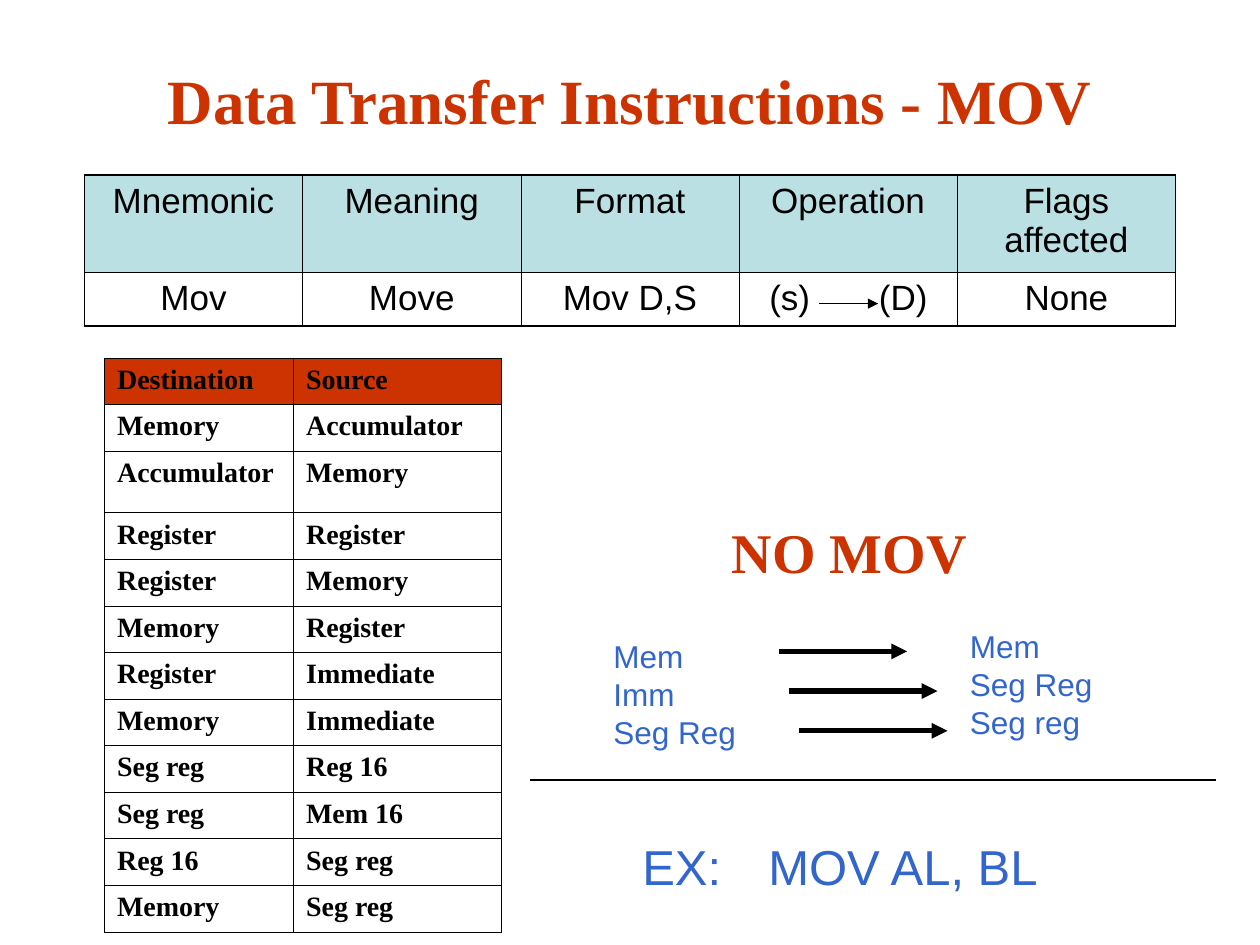
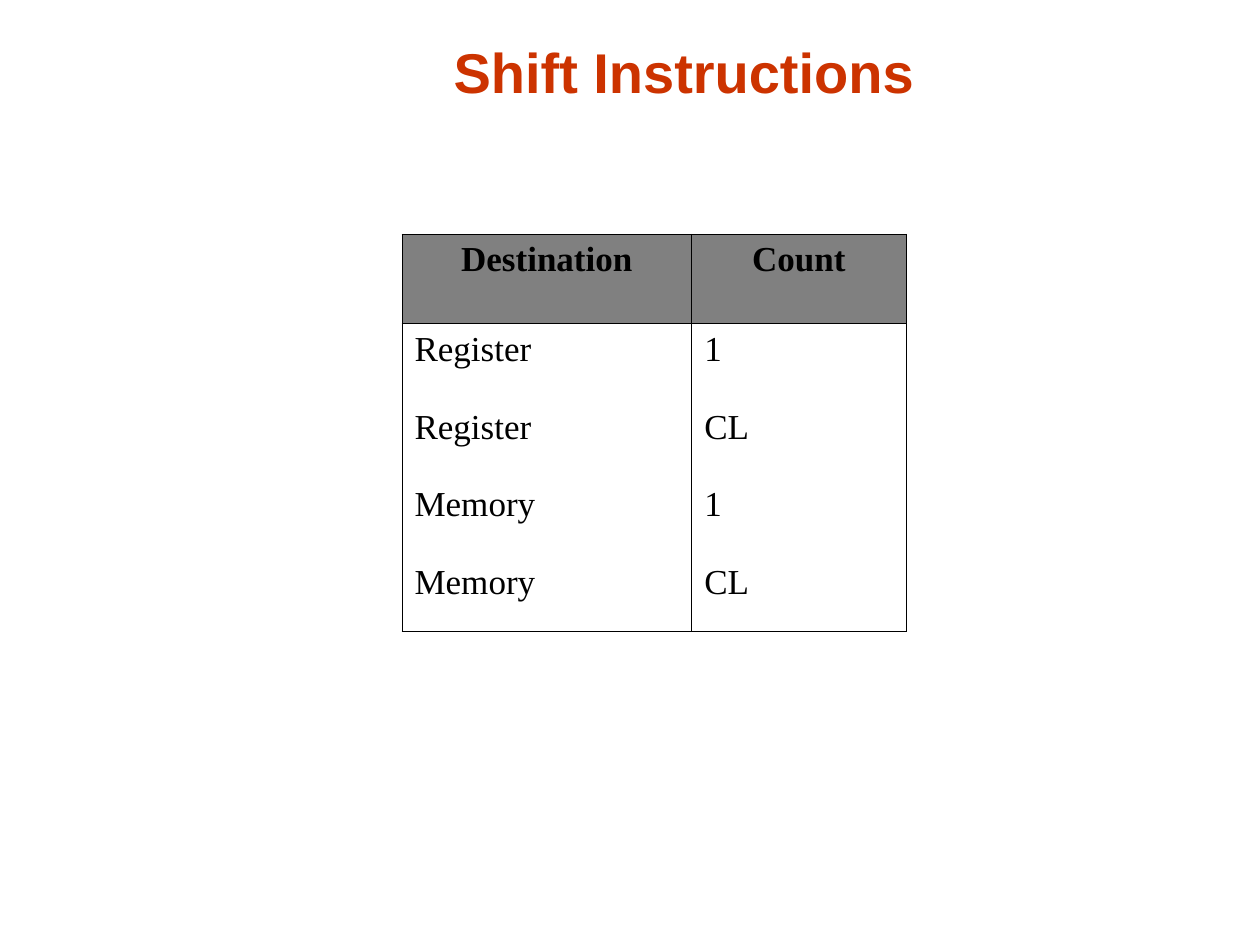
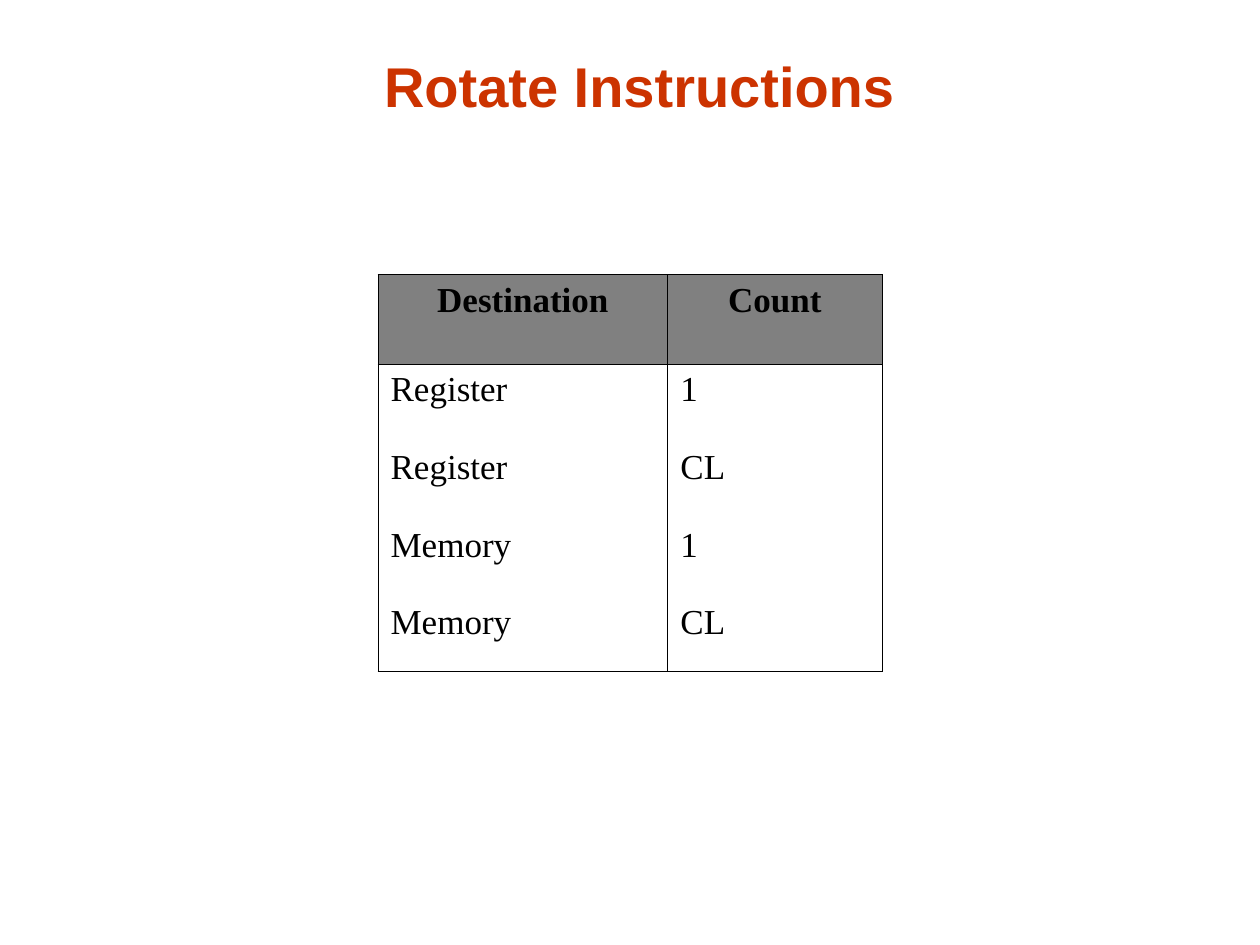
"""Builds three slides on MOV, shift and rotate instructions."""
from dataclasses import dataclass

from lxml.etree import SubElement
from pptx import Presentation
from pptx.dml.color import RGBColor
from pptx.enum.shapes import MSO_CONNECTOR
from pptx.enum.text import MSO_ANCHOR, PP_ALIGN
from pptx.oxml import parse_xml
from pptx.oxml.ns import nsdecls, qn
from pptx.util import Inches, Pt


@dataclass(frozen=True)
class Theme:
    """Colours, fonts and type sizes shared by the slides."""
    red: str = "CC3300"
    blue: str = "3366CC"
    black: str = "000000"
    aqua: str = "BBE0E3"
    grey: str = "808080"
    sans: str = "Arial"
    serif: str = "Times New Roman"
    title: int = 36
    heading: int = 32
    example: int = 28
    table: int = 20
    label: int = 18
    small: int = 16
    thin: float = 0.45
    frame: float = 1.08
    blank_line: float = 22.2


@dataclass(frozen=True)
class Style:
    """Look of one piece of text."""
    size: int
    font: str
    colour: str = "000000"
    bold: bool = False
    align: PP_ALIGN = PP_ALIGN.LEFT


THEME = Theme()
CENTER = PP_ALIGN.CENTER
MAIN_TITLE = Style(THEME.title, THEME.serif, THEME.red, True, CENTER)
SERIF_HEADING = Style(THEME.heading, THEME.serif, THEME.red, True)
SANS_HEADING = Style(THEME.heading, THEME.sans, THEME.red, True)
CENTERED_HEADING = Style(THEME.heading, THEME.sans, THEME.red, True, CENTER)
LABEL = Style(THEME.label, THEME.sans, THEME.blue)
EXAMPLE = Style(THEME.example, THEME.sans, THEME.blue)
FORMAT_CELL = Style(THEME.table, THEME.sans, align=CENTER)
OPERATION_CELL = Style(THEME.table, THEME.sans)
OPERAND_CELL = Style(THEME.small, THEME.serif, bold=True)
COUNT_HEAD = Style(THEME.table, THEME.serif, bold=True, align=CENTER)
COUNT_CELL = Style(THEME.table, THEME.serif)

FORMAT_ROWS = [
    ["Mnemonic", "Meaning", "Format", "Operation", "Flags affected"],
    ["Mov", "Move", "Mov D,S", "(s)\t(D)", "None"],
]
OPERAND_ROWS = [
    ["Destination", "Source"],
    ["Memory", "Accumulator"],
    ["Accumulator", "Memory"],
    ["Register", "Register"],
    ["Register", "Memory"],
    ["Memory", "Register"],
    ["Register", "Immediate"],
    ["Memory", "Immediate"],
    ["Seg reg", "Reg 16"],
    ["Seg reg", "Mem 16"],
    ["Reg 16", "Seg reg"],
    ["Memory", "Seg reg"],
]
COUNT_ROWS = [
    ["Destination", "Count"],
    ["Register\nRegister\nMemory\nMemory", "1\nCL\n1\nCL"],
]
FORBIDDEN_SOURCES = "Mem\nImm\nSeg Reg"
FORBIDDEN_TARGETS = "Mem\nSeg Reg\nSeg reg"
FORBIDDEN_ARROWS = [(6.18, 7.2), (6.26, 7.44), (6.34, 7.52)]


def write(frame, text, style, gap=0, tab=None):
    """Fill a text frame, one paragraph for each line of text."""
    for index, line in enumerate(text.split("\n")):
        para = frame.paragraphs[0] if index == 0 else frame.add_paragraph()
        para.alignment = style.align
        if index and gap:
            para.space_before = Pt(gap)
        if tab:
            stops = SubElement(para._p.get_or_add_pPr(), qn("a:tabLst"))
            SubElement(stops, qn("a:tab"), pos=str(Inches(tab)), algn="l")
        span = para.add_run()
        span.text = line
        span.font.size = Pt(style.size)
        span.font.name = style.font
        span.font.bold = style.bold
        span.font.color.rgb = RGBColor.from_string(style.colour)


def add_text(page, place, text, style, wrap=True, tab=None):
    """Add a text box at left, top, width, height in inches."""
    box = page.shapes.add_textbox(*map(Inches, place))
    box.text_frame.word_wrap = wrap
    write(box.text_frame, text, style, tab=tab)
    return box


def add_line(page, start, end, y, width, arrow=True):
    """Add a horizontal black line, with an arrowhead if wanted."""
    line = page.shapes.add_connector(
        MSO_CONNECTOR.STRAIGHT, Inches(start), Inches(y), Inches(end), Inches(y))
    line.line.color.rgb = RGBColor.from_string(THEME.black)
    line.line.width = Pt(width)
    if arrow:
        SubElement(line.line._get_or_add_ln(), qn("a:tailEnd"), type="triangle")
    SubElement(line._element.spPr, qn("a:effectLst"))


def set_borders(cell, widths):
    """Draw the left, right, top and bottom borders of a cell."""
    properties = cell._tc.get_or_add_tcPr()
    for index, (side, width) in enumerate(zip("LRTB", widths)):
        properties.insert(index, parse_xml(
            f'<a:ln{side} {nsdecls("a")} w="{Pt(width)}"><a:solidFill>'
            f'<a:srgbClr val="{THEME.black}"/></a:solidFill></a:ln{side}>'))


def add_grid(page, left, top, columns, heights, rows, head, body, fill,
             frame=THEME.thin, gap=0):
    """Add a bordered table with a filled header row."""
    table = page.shapes.add_table(
        len(rows), len(columns), Inches(left), Inches(top),
        Inches(sum(columns)), Inches(sum(heights))).table
    table.first_row = table.horz_banding = False
    for column, width in zip(table.columns, columns):
        column.width = Inches(width)
    for r, (texts, height) in enumerate(zip(rows, heights)):
        table.rows[r].height = Inches(height)
        for c, text in enumerate(texts):
            cell = table.cell(r, c)
            if r == 0:
                cell.fill.solid()
                cell.fill.fore_color.rgb = RGBColor.from_string(fill)
            else:
                cell.fill.background()
            edges = (c == 0, c == len(columns) - 1, r == 0, r == len(rows) - 1)
            set_borders(cell, [frame if edge else THEME.thin for edge in edges])
            if "\t" in text:
                cell.margin_left = Inches(0.24)
                write(cell.text_frame, text, OPERATION_CELL, tab=0.87)
            else:
                write(cell.text_frame, text, body if r else head, gap)


def build_mov(page):
    """Build the slide on the MOV instruction."""
    add_grid(page, 0.67, 1.39, [8.66 / 5] * 5, [0.77, 0.43], FORMAT_ROWS,
             FORMAT_CELL, FORMAT_CELL, THEME.aqua, THEME.frame)
    add_line(page, 6.5, 6.97, 2.41, 0.75)
    title = add_text(page, (0.5, 0.44, 9, 0.69),
                     "Data Transfer Instructions - MOV", MAIN_TITLE)
    title.text_frame.vertical_anchor = MSO_ANCHOR.MIDDLE
    heights = [0.49 if r == 2 else 0.37 for r in range(len(OPERAND_ROWS))]
    add_grid(page, 0.83, 2.84, [1.5, 1.65], heights, OPERAND_ROWS,
             OPERAND_CELL, OPERAND_CELL, THEME.red)
    add_text(page, (5.71, 4.06, 3.09, 0.64), "NO MOV", SERIF_HEADING)
    add_text(page, (4.77, 5.01, 1.17, 1), FORBIDDEN_SOURCES, LABEL, wrap=False)
    add_text(page, (7.6, 4.93, 1.17, 1), FORBIDDEN_TARGETS, LABEL, wrap=False)
    for index, (start, end) in enumerate(FORBIDDEN_ARROWS):
        add_line(page, start, end, 5.17 + 0.315 * index, 3)
    add_text(page, (5, 6.59, 4.1, 0.57), "EX:\tMOV AL, BL", EXAMPLE, tab=1)
    add_line(page, 4.21, 9.65, 6.19, 0.75, arrow=False)


def add_count_table(page, left, top):
    """Add the table of destinations and counts."""
    add_grid(page, left, top, [2.3, 1.7], [0.71, 2.44], COUNT_ROWS,
             COUNT_HEAD, COUNT_CELL, THEME.grey, gap=THEME.blank_line)


def build_shift(page):
    """Build the slide on shift instructions."""
    add_text(page, (3.5, 0.25, 3.86, 0.64), "Shift Instructions",
             CENTERED_HEADING, wrap=False)
    add_count_table(page, 3.19, 1.86)


def build_rotate(page):
    """Build the slide on rotate instructions."""
    add_count_table(page, 3, 2.18)
    add_text(page, (2.95, 0.36, 5.27, 0.64), "Rotate Instructions", SANS_HEADING)


def main():
    """Build the deck and save it."""
    deck = Presentation()
    deck.slide_width, deck.slide_height = Inches(10), Inches(7.5)
    for build in (build_mov, build_shift, build_rotate):
        build(deck.slides.add_slide(deck.slide_layouts[6]))
    deck.save("out.pptx")


if __name__ == "__main__":
    main()
